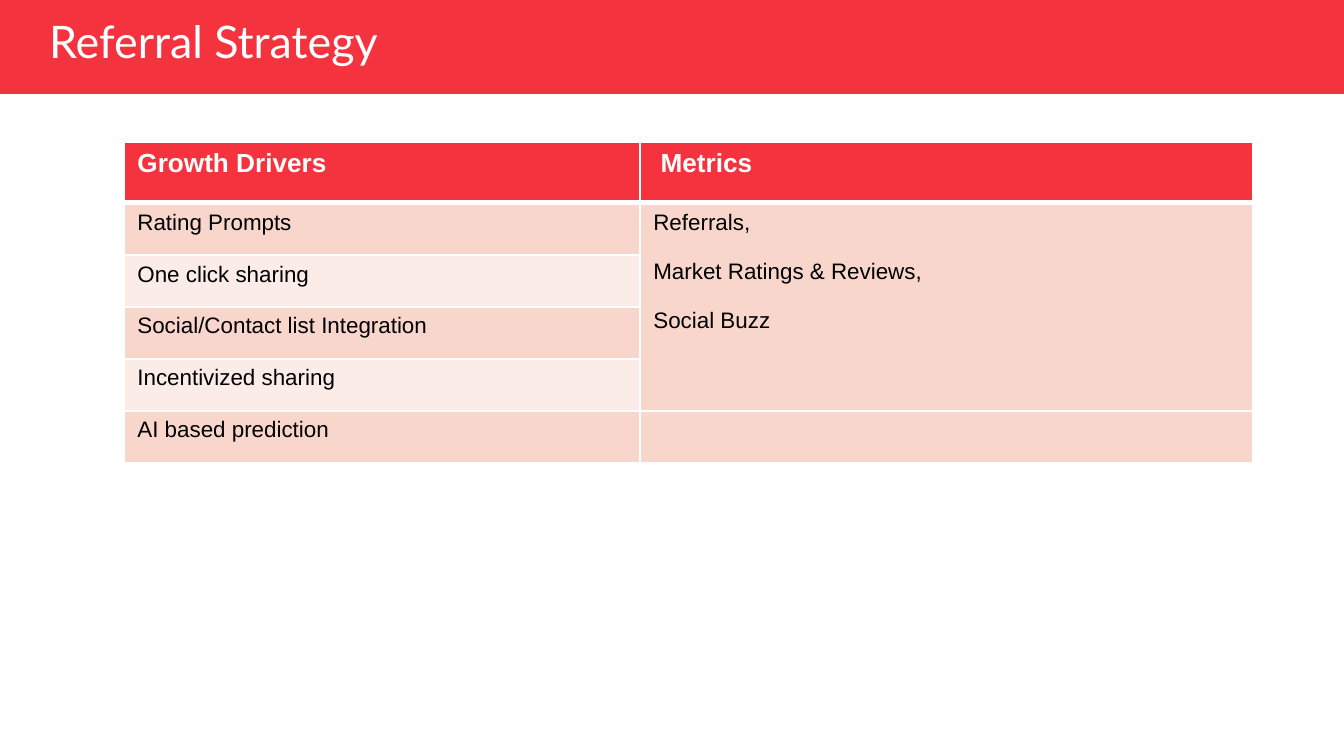
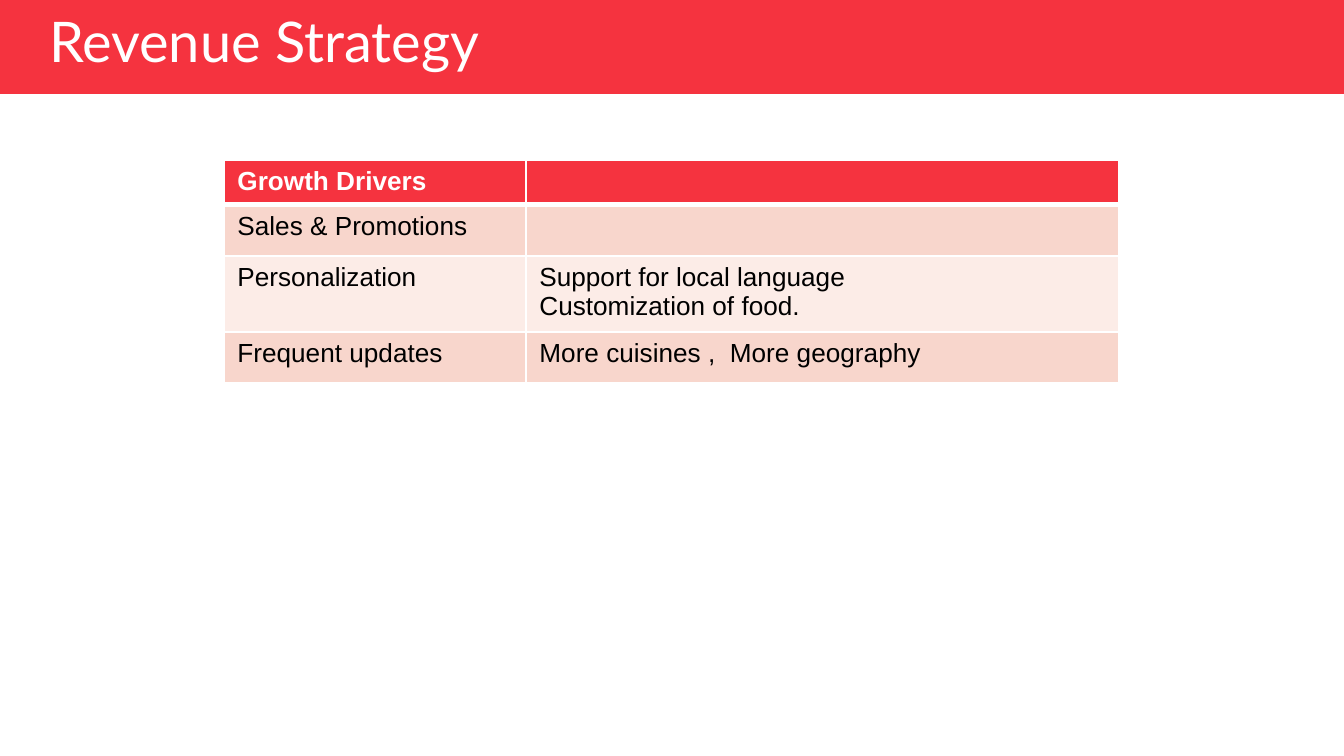
from lxml import etree
from pptx import Presentation
from pptx import util as u
from pptx.dml.color import RGBColor
from pptx.enum import shapes, text
from pptx.oxml.ns import qn

COLORS = {
    "red": "F5333F",
    "white": "FFFFFF",
    "black": "000000",
    "band_dark": "F8D6CC",
    "band_light": "FCECE7",
}
TITLE_FONT, TABLE_FONT = "Lato", "Arial"
HEADER_PT = 14
PX = 914400 / 134.4
SLIDE_W, SLIDE_H, BAND_H = 1344, 756, 94

# A line break inside a cell starts a new paragraph; paragraph_gap is in points.
STRATEGIES = [
    {
        "title": "Referral Strategy",
        "title_pt": 24,
        "left_top": (124, 142),
        "columns": (516, 613),
        "heights": (61, 52),
        "body_pt": 12,
        "paragraph_gap": 13,
        "merge": ((1, 1), (4, 1)),
        "rows": [
            ("Growth Drivers", " Metrics"),
            ("Rating Prompts", "Referrals,\nMarket Ratings & Reviews,\nSocial Buzz"),
            ("One click sharing", ""),
            ("Social/Contact list Integration", ""),
            ("Incentivized sharing", ""),
            ("AI based prediction", ""),
        ],
    },
    {
        "title": "Revenue Strategy",
        "title_pt": 30,
        "left_top": (224, 160),
        "columns": (302, 593),
        "heights": (43, 51),
        "body_pt": 14,
        "paragraph_gap": 0,
        "merge": None,
        "rows": [
            ("Growth Drivers", ""),
            ("Sales & Promotions", ""),
            ("Personalization", "Support for local language\nCustomization of food."),
            ("Frequent updates", "More cuisines ,  More geography"),
        ],
    },
]


def px(length):
    return u.Emu(round(length * PX))


def rgb(name):
    return RGBColor.from_string(COLORS[name])


def style_runs(paragraph, font_name, size, color, bold=False):
    for run in paragraph.runs:
        run.font.name = font_name
        run.font.size = u.Pt(size)
        run.font.bold = bold
        run.font.color.rgb = rgb(color)


def add_title_band(slide, title, size):
    band = slide.shapes.add_shape(
        shapes.MSO_SHAPE.RECTANGLE, 0, 0, px(SLIDE_W), px(BAND_H))
    band.shadow.inherit = False
    band.fill.solid()
    band.fill.fore_color.rgb = rgb("red")
    band.line.fill.background()

    heading = slide.shapes.add_textbox(px(36), px(16), px(550), px(56)).text_frame
    heading.word_wrap = True
    heading.vertical_anchor = text.MSO_ANCHOR.MIDDLE
    heading.text = title
    heading.paragraphs[0].line_spacing = 0.9
    style_runs(heading.paragraphs[0], TITLE_FONT, size, "white")


def set_borders(cell, row):
    """White 1 pt lines, with a 3 pt rule under the header."""
    widths = {"L": 1, "R": 1, "T": 3 if row == 1 else 1, "B": 3 if row == 0 else 1}
    properties = cell._tc.get_or_add_tcPr()
    for side, width in widths.items():
        line = etree.SubElement(properties, qn(f"a:ln{side}"), w=str(u.Pt(width)))
        fill = etree.SubElement(line, qn("a:solidFill"))
        etree.SubElement(fill, qn("a:srgbClr"), val=COLORS["white"])


def fill_cell(cell, row, wording, body_pt, gap):
    header = row == 0
    size = HEADER_PT if header else body_pt
    set_borders(cell, row)
    cell.fill.solid()
    band = "band_dark" if row % 2 else "band_light"
    cell.fill.fore_color.rgb = rgb("red" if header else band)
    cell.text_frame.text = wording
    for index, paragraph in enumerate(cell.text_frame.paragraphs):
        if index and gap:
            paragraph.space_before = u.Pt(gap)
        style_runs(paragraph, TABLE_FONT, size, "white" if header else "black", header)
        if not wording:  # keeps an empty cell from stretching its row
            etree.SubElement(paragraph._p, qn("a:endParaRPr"), sz=str(size * 100))


def add_drivers_table(slide, strategy):
    rows, columns = strategy["rows"], strategy["columns"]
    header_h, body_h = strategy["heights"]
    heights = [header_h] + [body_h] * (len(rows) - 1)
    left, top = strategy["left_top"]
    table = slide.shapes.add_table(
        len(rows), len(columns), px(left), px(top),
        px(sum(columns)), px(sum(heights))).table
    table.horz_banding = False
    for column, width in zip(table.columns, columns):
        column.width = px(width)
    for row, height in zip(table.rows, heights):
        row.height = px(height)
    if strategy["merge"]:
        first, last = strategy["merge"]
        table.cell(*first).merge(table.cell(*last))
    for r, row in enumerate(rows):
        for c, wording in enumerate(row):
            fill_cell(table.cell(r, c), r, wording,
                      strategy["body_pt"], strategy["paragraph_gap"])


def main():
    deck = Presentation()
    deck.slide_width, deck.slide_height = px(SLIDE_W), px(SLIDE_H)
    for strategy in STRATEGIES:
        slide = deck.slides.add_slide(deck.slide_layouts[6])
        add_title_band(slide, strategy["title"], strategy["title_pt"])
        add_drivers_table(slide, strategy)
    deck.save("out.pptx")


if __name__ == "__main__":
    main()
